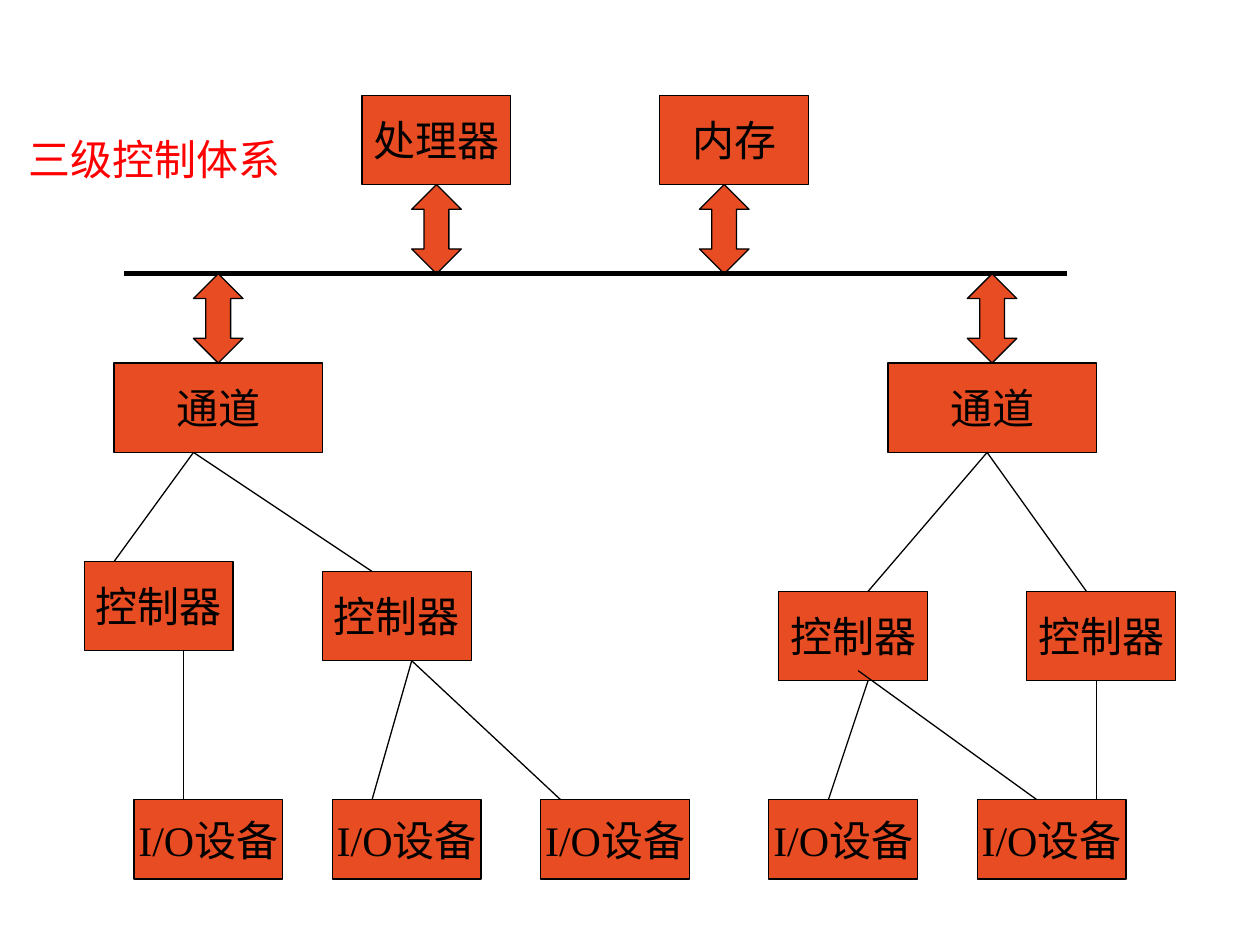
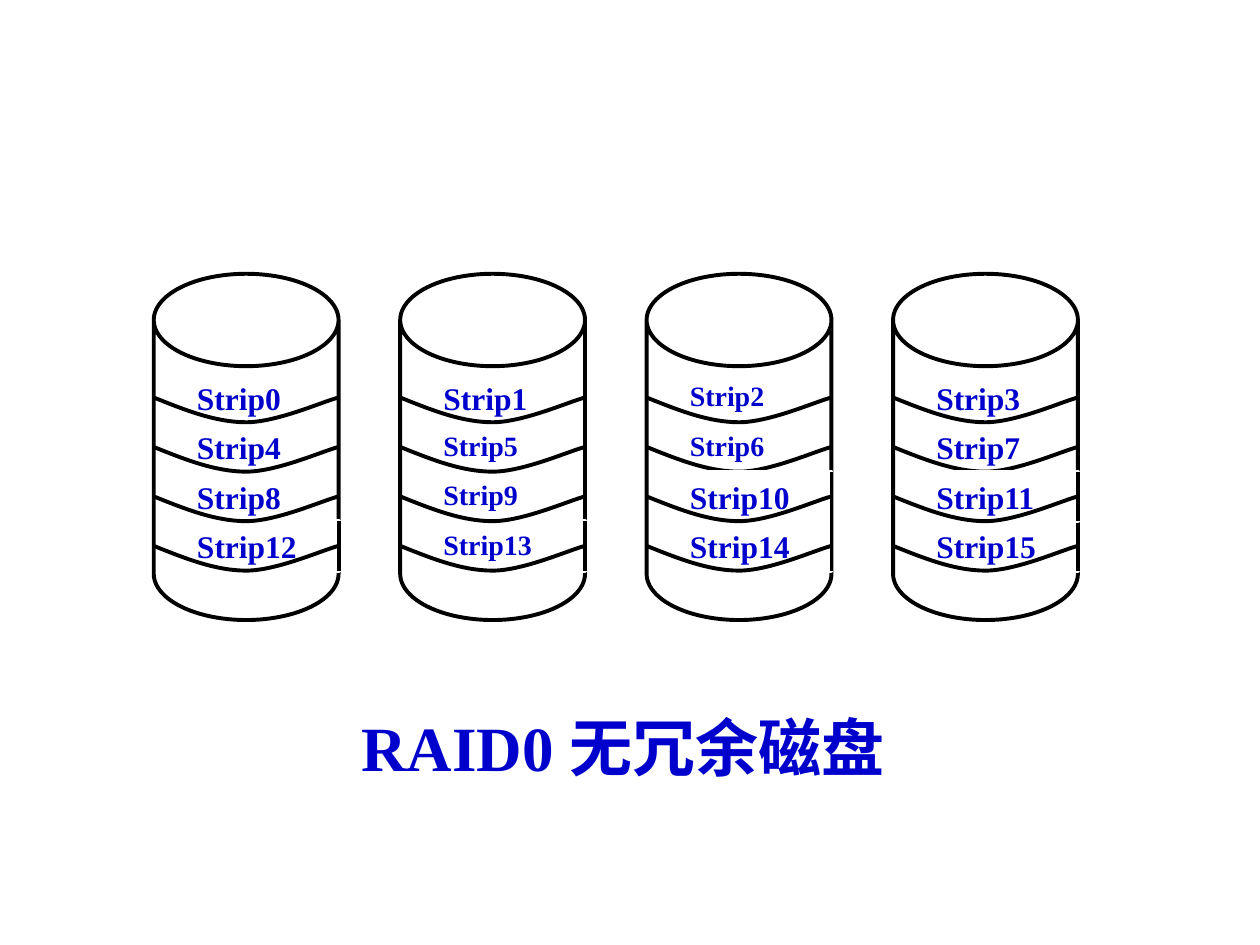
from lxml import etree
from pptx import Presentation
from pptx.dml.color import RGBColor
from pptx.enum.shapes import MSO_CONNECTOR, MSO_SHAPE
from pptx.enum.text import MSO_ANCHOR, MSO_AUTO_SIZE, PP_ALIGN
from pptx.oxml.ns import qn
from pptx.util import Cm, Pt

RECT, CAN, ARROW = MSO_SHAPE.RECTANGLE, MSO_SHAPE.CAN, MSO_SHAPE.UP_DOWN_ARROW
STRAIGHT = MSO_CONNECTOR.STRAIGHT
TOP, MIDDLE = MSO_ANCHOR.TOP, MSO_ANCHOR.MIDDLE
LEFT, CENTER = PP_ALIGN.LEFT, PP_ALIGN.CENTER
FIT_SHAPE = MSO_AUTO_SIZE.SHAPE_TO_FIT_TEXT

BLACK, WHITE, ORANGE, RED, BLUE = "000000", "FFFFFF", "E84C22", "FF0000", "0000CC"
SERIF, SANS = "Times New Roman", "Calibri"
THIN, THICK, BUS = 0.75, 2.25, 3


def rgb(value):
    return RGBColor.from_string(value)


def add_text(shape, text, size, color, font=SERIF, bold=False,
             align=LEFT, anchor=TOP, wrap=True):
    tf = shape.text_frame
    tf.word_wrap = wrap
    tf.vertical_anchor = anchor
    p = tf.paragraphs[0]
    p.alignment = align
    r = p.add_run()
    r.text = text
    r.font.name, r.font.size, r.font.bold = font, Pt(size), bold
    r.font.color.rgb = rgb(color)
    return p


def set_line(shape, color, width):
    shape.line.color.rgb = rgb(color)
    shape.line.width = Pt(width)


def add_block(s, kind, x, y, w, h, fill, line, width):
    sp = s.shapes.add_shape(kind, Cm(x), Cm(y), Cm(w), Cm(h))
    sp.shadow.inherit = False
    sp.fill.solid()
    sp.fill.fore_color.rgb = rgb(fill)
    set_line(sp, line, width)
    return sp


def add_line(s, x1, y1, x2, y2, width):
    c = s.shapes.add_connector(STRAIGHT, Cm(x1), Cm(y1), Cm(x2), Cm(y2))
    set_line(c, BLACK, width)
    etree.SubElement(c._element.spPr, qn("a:effectLst"))


def control_tree(s, left, top, unit):
    """Three-level I/O hierarchy on a square grid; positions are in grid units."""
    def place(x, y):
        return left + x * unit, top + y * unit

    def node(text, x, y, w=15, h=9):
        sp = add_block(s, RECT, *place(x, y), w * unit, h * unit, ORANGE, BLACK, THIN)
        add_text(sp, text, 24, BLACK, align=CENTER, anchor=MIDDLE, wrap=False)

    def arrow(x, y):
        sp = add_block(s, ARROW, *place(x, y), 5 * unit, 9 * unit, ORANGE, BLACK, THIN)
        sp.adjustments[0], sp.adjustments[1] = 0.36, 0.5

    def link(x1, y1, x2, y2, width=THIN):
        add_line(s, *place(x1, y1), *place(x2, y2), width)

    # Processor and memory above the bus
    node("处理器", 28, 0)
    node("内存", 58, 0)
    for x in (33, 62):
        arrow(x, 9)
    link(4, 18, 99, 18, BUS)

    # Arrows below the bus, devices, channels and controllers
    for x in (11, 89):
        arrow(x, 18)
    for x in (5, 25, 46, 69, 90):
        node("I/O设备", x, 71, h=8)
    for x in (3, 81):
        node("通道", x, 27, w=21)
    for x, y in ((0, 47), (24, 48), (70, 50), (95, 50)):
        node("控制器", x, y)

    # Channel to controller
    for ends in ((11, 36, 3, 47), (11, 36, 29, 48), (91, 36, 79, 50), (91, 36, 101, 50)):
        link(*ends)
    # Controller to device
    for x, y, device_x in ((10, 56, 10), (33, 57, 29), (33, 57, 48),
                           (78, 58, 96), (79, 59, 75), (102, 59, 102)):
        link(x, y, device_x, 71)


# Sagging strip border: two cubic curves, in column units across and rows down
SAG = ((1, 0.25), (2, 0.5), (3, 0.5), (4, 0.5), (5.5, 0.08), (6, 0))


def strip_border(s, x, y, unit, row):
    fb = s.shapes.build_freeform(Cm(x), Cm(y))
    fb.add_line_segments([(Cm(x + dx * unit), Cm(y + dy * row)) for dx, dy in SAG],
                         close=False)
    sp = fb.convert_to_shape()
    # Every three straight segments become one cubic curve
    segments = list(sp._element.iter(qn("a:lnTo")))
    outline = segments[0].getparent()
    for i in range(0, len(segments), 3):
        curve = etree.SubElement(outline, qn("a:cubicBezTo"))
        for segment in segments[i:i + 3]:
            curve.append(segment[0])
            outline.remove(segment)
    sp.shadow.inherit = False
    sp.fill.background()
    set_line(sp, BLACK, THICK)


def disk(s, x, y, unit, row, strips, small, passes):
    """One cylinder, six units wide and seven rows high, with four strips."""
    can = add_block(s, CAN, x, y, 6 * unit, 7 * row, WHITE, BLACK, THICK)
    can.adjustments[0] = 0.5
    for rows in passes:
        tops = {i: y + (2 + i) * row for i in rows}
        wide = [i for i in rows if strips[i] >= 10]
        for i in rows:
            width = 5 if i in wide else 4
            label = add_block(s, RECT, x + unit, tops[i], width * unit, row,
                              WHITE, WHITE, THICK)
            size = 16 if strips[i] in small else 18
            add_text(label, f"Strip{strips[i]}", size, BLUE, bold=True)
        for i in rows:
            strip_border(s, x, tops[i] + row / 2, unit, row)
        # Wide labels cover the cylinder's edge, so it is redrawn
        for i in wide:
            length = 1.5 if strips[i] == 10 else 1
            add_line(s, x + 6 * unit, tops[i], x + 6 * unit, tops[i] + length * row, THICK)


def disk_array(s, left, top, width, height):
    unit, row = width / 30, height / 7
    small = (2, 5, 6, 9, 13)
    together, third_last = [range(4)], [(0, 1, 3), (2,)]
    for n in range(4):
        disk(s, left + 8 * n * unit, top, unit, row, range(n, 16, 4), small,
             together if n < 2 else third_last)


def text_box(s, x, y, w, h, text, size, color, **style):
    tb = s.shapes.add_textbox(Cm(x), Cm(y), Cm(w), Cm(h))
    return tb, add_text(tb, text, size, color, **style)


def control_slide(prs):
    s = prs.slides.add_slide(prs.slide_layouts[6])
    control_tree(s, 1.7, 1.92, 0.2)
    tb, _ = text_box(s, 0.33, 2.57, 5.64, 1.28, "三级控制体系", 24, RED,
                     font=SANS, wrap=False)
    tb.text_frame.auto_size = FIT_SHAPE


def raid_slide(prs):
    s = prs.slides.add_slide(prs.slide_layouts[6])
    disk_array(s, 3.1, 5.52, 18.63, 6.98)
    _, p = text_box(s, 2.3, 14.33, 20.52, 1.7, "RAID0 无冗余磁盘", 36, BLUE,
                    bold=True, align=CENTER)
    p.line_spacing = 0.9
    pPr = p._p.get_or_add_pPr()
    pPr.set("marL", str(Cm(0.95)))
    pPr.set("indent", str(-Cm(0.95)))


def main():
    prs = Presentation()
    prs.slide_width, prs.slide_height = Cm(25.4), Cm(19.05)
    control_slide(prs)
    raid_slide(prs)
    prs.save("out.pptx")


if __name__ == "__main__":
    main()
